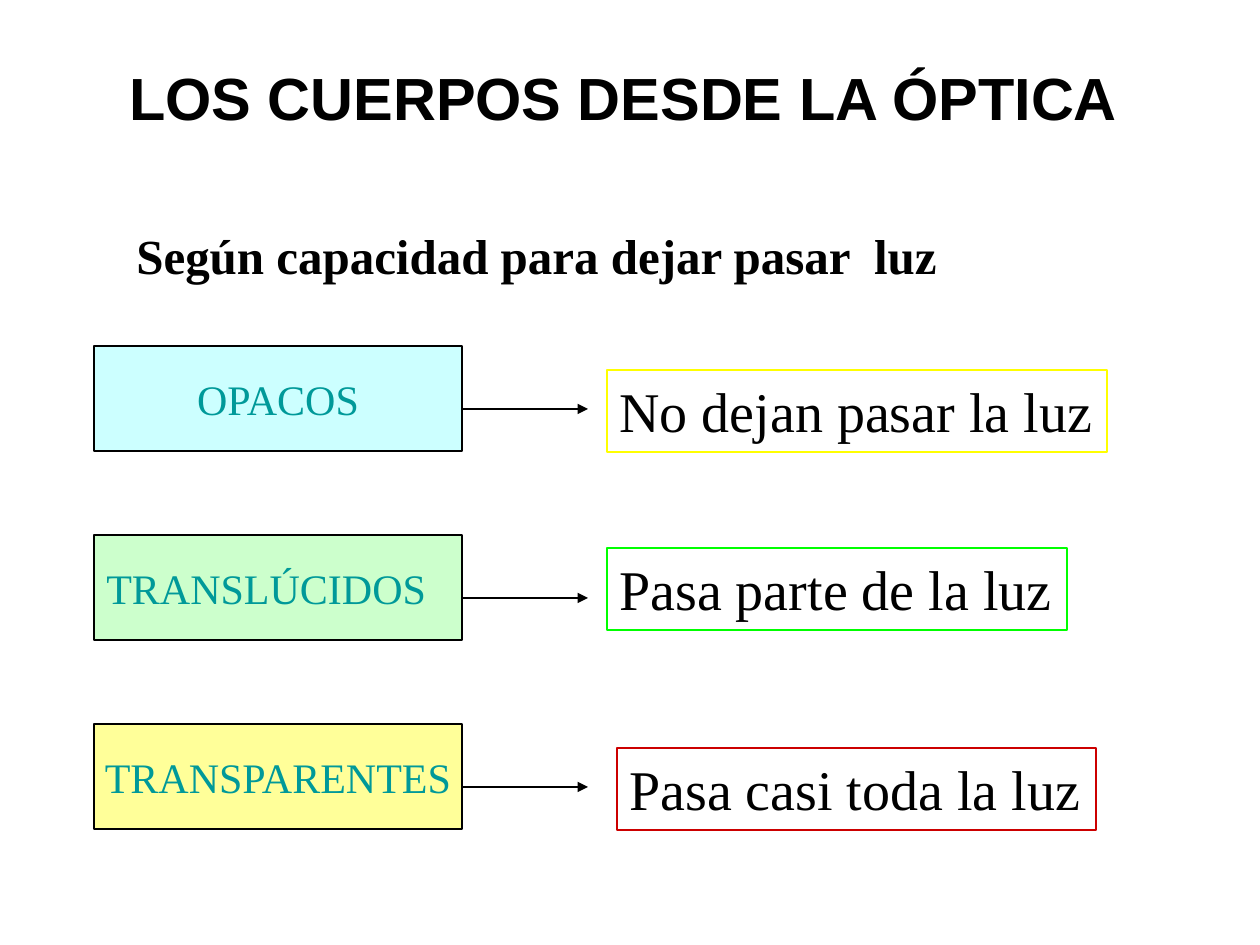
from lxml import etree
from pptx import Presentation
from pptx.dml.color import RGBColor
from pptx.enum import shapes, text
from pptx.oxml.ns import qn
from pptx.util import Emu, Pt

THEME = {
    "ink": "000000", "label": "009999",
    "title_size": 34, "heading_size": 28, "label_size": 24, "meaning_size": 32,
    "title_font": "Arial", "body_font": "Times New Roman", "line": 1,
}
CENTER, LEFT, JUSTIFY = text.PP_ALIGN.CENTER, text.PP_ALIGN.LEFT, text.PP_ALIGN.JUSTIFY
MIDDLE, TOP = text.MSO_ANCHOR.MIDDLE, text.MSO_ANCHOR.TOP


def px(*lengths):
    return [Emu(round(length * 914400 / 126)) for length in lengths]


def write(shape, words, size, font=THEME["body_font"], color=THEME["ink"],
          bold=False, align=LEFT, anchor=TOP, wrap=False):
    frame = shape.text_frame
    frame.word_wrap = wrap
    frame.vertical_anchor = anchor
    frame.auto_size = text.MSO_AUTO_SIZE.NONE
    paragraph = frame.paragraphs[0]
    paragraph.alignment = align
    run = paragraph.add_run()
    run.text = words
    run.font.size = Pt(size)
    run.font.name = font
    run.font.bold = bold
    run.font.color.rgb = RGBColor.from_string(color)


deck = Presentation()
deck.slide_width, deck.slide_height = px(1260, 945)
slide = deck.slides.add_slide(deck.slide_layouts[5])

title = slide.shapes.title
title.left, title.top, title.width, title.height = px(46, 18, 1155, 158)
write(title, "LOS CUERPOS DESDE LA ÓPTICA", THEME["title_size"],
      font=THEME["title_font"], bold=True, align=CENTER, anchor=MIDDLE, wrap=True)

heading = slide.shapes.add_textbox(*px(124, 219, 829, 72))
write(heading, "Según capacidad para dejar pasar  luz", THEME["heading_size"], bold=True)

bodies = [
    ("OPACOS", CENTER, "CCFFFF", "No dejan pasar la luz", "FFFF00", (607, 370, 500, 82)),
    ("TRANSLÚCIDOS", JUSTIFY, "CCFFCC", "Pasa parte de la luz", "00FF00", (607, 548, 460, 82)),
    ("TRANSPARENTES", CENTER, "FFFF99", "Pasa casi toda la luz", "CC0000", (617, 748, 479, 82)),
]
for row, (kind, align, fill, meaning, border, place) in enumerate(bodies):
    top = 346 + 189 * row
    label = slide.shapes.add_shape(shapes.MSO_SHAPE.RECTANGLE, *px(94, top, 368, 105))
    label.shadow.inherit = False
    label.fill.solid()
    label.fill.fore_color.rgb = RGBColor.from_string(fill)
    label.line.color.rgb = RGBColor.from_string(THEME["ink"])
    label.line.width = Pt(THEME["line"])
    write(label, kind, THEME["label_size"], color=THEME["label"], align=align, anchor=MIDDLE)

    arrow = slide.shapes.add_connector(
        shapes.MSO_CONNECTOR.STRAIGHT, *px(462, top + 63, 588, top + 63))
    arrow.line.color.rgb = RGBColor.from_string(THEME["ink"])
    arrow.line.width = Pt(THEME["line"])
    etree.SubElement(arrow.line._get_or_add_ln(), qn("a:tailEnd"), type="triangle")
    etree.SubElement(arrow._element.spPr, qn("a:effectLst"))

    effect = slide.shapes.add_shape(shapes.MSO_SHAPE.RECTANGLE, *px(*place))
    effect.shadow.inherit = False
    effect.fill.background()
    effect.line.color.rgb = RGBColor.from_string(border)
    effect.line.width = Pt(THEME["line"])
    write(effect, meaning, THEME["meaning_size"])

deck.save("out.pptx")
